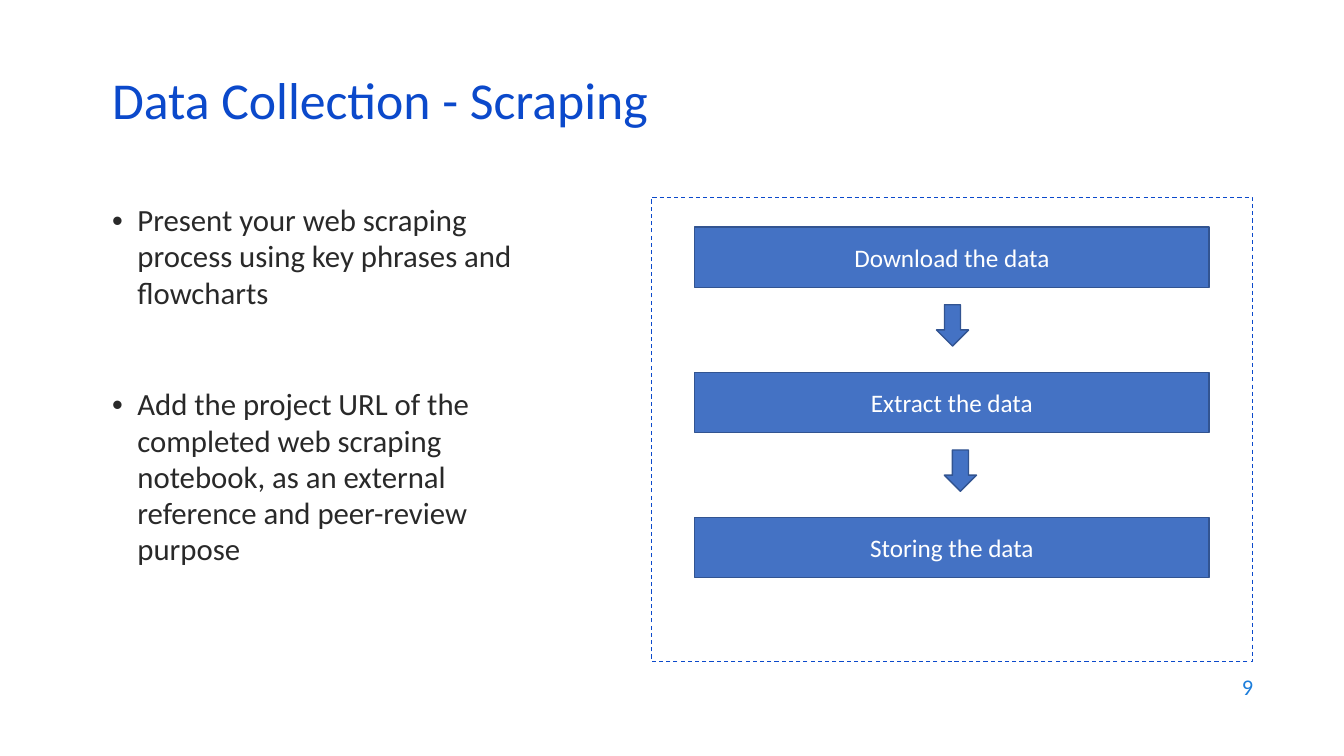
from pptx import Presentation
from pptx.dml.color import RGBColor
from pptx.enum.dml import MSO_LINE
from pptx.enum.shapes import MSO_SHAPE
from pptx.enum.text import MSO_ANCHOR, MSO_AUTO_SIZE, PP_ALIGN
from pptx.util import Cm, Pt

RECTANGLE, DOWN_ARROW = MSO_SHAPE.RECTANGLE, MSO_SHAPE.DOWN_ARROW
LEFT, CENTER, RIGHT = PP_ALIGN.LEFT, PP_ALIGN.CENTER, PP_ALIGN.RIGHT
TOP, MIDDLE = MSO_ANCHOR.TOP, MSO_ANCHOR.MIDDLE
DASH = MSO_LINE.DASH
NO_AUTOFIT = MSO_AUTO_SIZE.NONE

FONT = "Calibri"
COLORS = {
    "title": "0B49CB",
    "body": "292929",
    "step": "4472C4",
    "step_edge": "325491",
    "step_text": "FFFFFF",
    "number": "1C7DDB",
}
TITLE = "Data Collection - Scraping"
TASKS = [
    "Present your web scraping process using key phrases and flowcharts",
    "Add the project URL of the completed web scraping notebook, "
    "as an external reference and peer-review purpose",
]
STEPS = ["Download the data", "Extract the data", "Storing the data"]
ARROW_LEFTS = [7.19, 7.39]


def color(name):
    return RGBColor.from_string(COLORS[name])


def place(shape, box):
    shape.left, shape.top, shape.width, shape.height = (Cm(v) for v in box)


def write(frame, lines, size, color_name, align, anchor):
    frame.text = "\n".join(lines)
    frame.word_wrap = True
    frame.auto_size = NO_AUTOFIT
    frame.vertical_anchor = anchor
    for paragraph in frame.paragraphs:
        paragraph.alignment = align
        for run in paragraph.runs:
            run.font.name = FONT
            run.font.size = Pt(size)
            run.font.color.rgb = color(color_name)


def add_heading(slide, box):
    heading = slide.shapes.title
    place(heading, box)
    write(heading.text_frame, [TITLE], 37, "title", LEFT, MIDDLE)
    heading.text_frame.paragraphs[0].line_spacing = 0.7


def add_tasks(slide, box):
    tasks = slide.placeholders[1]
    place(tasks, box)
    write(tasks.text_frame, TASKS, 22, "body", LEFT, TOP)
    for index, task in enumerate(tasks.text_frame.paragraphs):
        properties = task._p.get_or_add_pPr()
        properties.set("marL", str(Cm(0.64)))
        properties.set("indent", str(-Cm(0.64)))
        task.line_spacing = 0.98
        task.space_before = Pt(54 if index else 0)


def add_block(slide, kind, box):
    block = slide.shapes.add_shape(kind, *(Cm(v) for v in box))
    block.shadow.inherit = False
    block.fill.solid()
    block.fill.fore_color.rgb = color("step")
    block.line.color.rgb = color("step_edge")
    block.line.width = Pt(1)
    return block


def add_flowchart(slide, box):
    left, top, width, height = box
    frame = slide.shapes.add_shape(RECTANGLE, *(Cm(v) for v in box))
    frame.shadow.inherit = False
    frame.fill.background()
    frame.line.color.rgb = color("title")
    frame.line.width = Pt(0.75)
    frame.line.dash_style = DASH

    margin, pitch = 1.1, 3.66
    step_tops = [top + 0.74 + index * pitch for index in range(len(STEPS))]
    for step, step_top in zip(STEPS, step_tops):
        block = add_block(slide, RECTANGLE, (left + margin, step_top, width - 2 * margin, 1.52))
        write(block.text_frame, [step], 18, "step_text", CENTER, MIDDLE)
    for arrow_left, step_top in zip(ARROW_LEFTS, step_tops):
        add_block(slide, DOWN_ARROW, (left + arrow_left, step_top + 1.96, 0.81, 1.04))


def add_page_number(slide, box):
    number = slide.shapes.add_textbox(*(Cm(v) for v in box))
    write(number.text_frame, ["9"], 16, "number", RIGHT, MIDDLE)


def main():
    deck = Presentation()
    deck.slide_width, deck.slide_height = Cm(33.87), Cm(19.05)
    slide = deck.slides.add_slide(deck.slide_layouts[1])
    add_page_number(slide, (24.21, 16.74, 7.62, 1.12))
    add_tasks(slide, (2.57, 4.98, 10.92, 10.59))
    add_heading(slide, (2.57, 1.93, 29.21, 1.52))
    add_flowchart(slide, (16.41, 4.98, 15.16, 11.68))
    deck.save("out.pptx")


if __name__ == "__main__":
    main()
